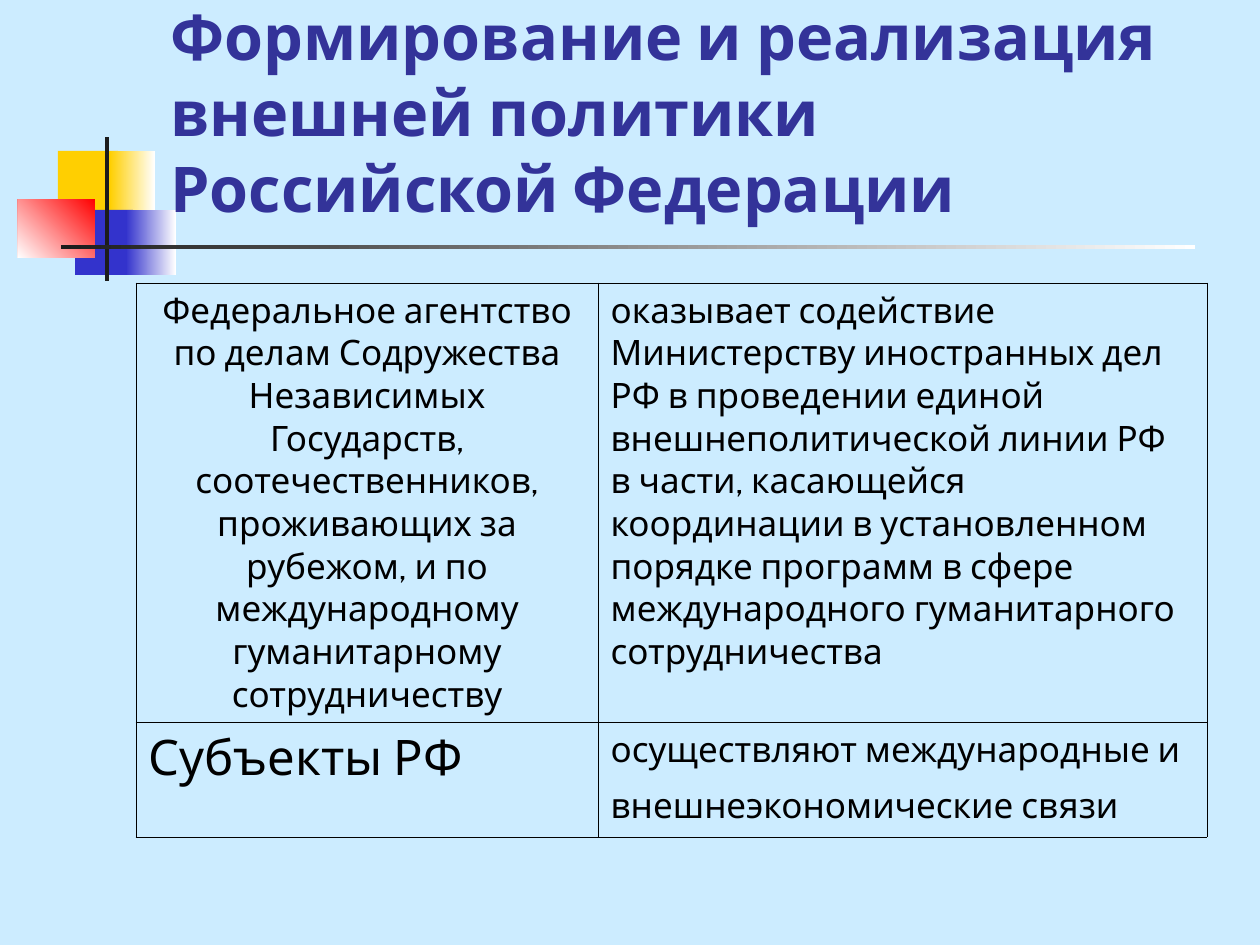
from lxml import etree
from pptx import Presentation
from pptx import util as u
from pptx.dml import color
from pptx.enum import shapes, text
from pptx.oxml import ns

SCALE = 914400 / 126
FONT = "Cabin"
COLORS = {
    "background": "CCECFF",
    "title": "333399",
    "text": "000000",
    "yellow": "FFCF01",
    "blue": "3333CC",
    "red": "FF0000",
    "white": "FFFFFF",
    "dark": "1C1C1C",
}
BORDER = 0.45


def px(length):
    return u.Emu(round(length * SCALE))


def rgb(name):
    return color.RGBColor.from_string(COLORS[name])


class SlideBuilder:
    def __init__(self, slide):
        self.slide = slide
        fill = slide.background.fill
        fill.solid()
        fill.fore_color.rgb = rgb("background")

    def style(self, paragraph, size, name="text", bold=False, center=False):
        paragraph.alignment = text.PP_ALIGN.CENTER if center else text.PP_ALIGN.LEFT
        font = paragraph.font
        font.name, font.size, font.bold = FONT, u.Pt(size), bold
        font.color.rgb = rgb(name)

    def rectangle(self, box, start, end=None, angle=180):
        shape = self.slide.shapes.add_shape(
            shapes.MSO_SHAPE.RECTANGLE, *map(px, box))
        shape.shadow.inherit = False
        shape.line.fill.background()
        if end is None:
            shape.fill.solid()
            shape.fill.fore_color.rgb = rgb(start)
            return
        shape.fill.gradient()
        shape.fill.gradient_angle = angle
        for stop, name in zip(shape.fill.gradient_stops, (start, end)):
            stop.color.rgb = rgb(name)

    def title(self, box, content):
        frame = self.slide.shapes.add_textbox(*map(px, box)).text_frame
        frame.word_wrap = True
        frame.vertical_anchor = text.MSO_ANCHOR.BOTTOM
        paragraph = frame.paragraphs[0]
        paragraph.text = content
        self.style(paragraph, 36, "title", bold=True)

    def border(self, cell, side):
        line = etree.SubElement(
            cell._tc.get_or_add_tcPr(), ns.qn(f"a:{side}"), w=str(u.Pt(BORDER)))
        fill = etree.SubElement(line, ns.qn("a:solidFill"))
        etree.SubElement(fill, ns.qn("a:srgbClr"), val=COLORS["text"])

    def table(self, box, widths, heights, rows):
        table = self.slide.shapes.add_table(
            len(rows), len(widths), *map(px, box)).table
        table.first_row = table.horz_banding = False
        for column, width in zip(table.columns, widths):
            column.width = px(width)
        for row, height in zip(table.rows, heights):
            row.height = px(height)
        for i, row in enumerate(rows):
            for j, (runs, center) in enumerate(row):
                cell = table.cell(i, j)
                for side in ("lnL", "lnR", "lnT", "lnB"):
                    self.border(cell, side)
                cell.fill.background()
                cell.margin_left = u.Inches(0.1)
                cell.margin_right = u.Inches(0.1 if center else 0.12)
                cell.margin_top = cell.margin_bottom = u.Inches(0.05)
                paragraph = cell.text_frame.paragraphs[0]
                self.style(paragraph, runs[0][1], center=center)
                for content, size in runs:
                    run = paragraph.add_run()
                    run.text = content
                    run.font.size = u.Pt(size)
                    run.font.name = FONT
                    run.font.color.rgb = rgb("text")


def main():
    presentation = Presentation()
    presentation.slide_width, presentation.slide_height = px(1260), px(945)
    builder = SlideBuilder(
        presentation.slides.add_slide(presentation.slide_layouts[6]))

    builder.rectangle((58, 151, 60, 66), "yellow")
    builder.rectangle((110, 151, 45, 66), "white", "yellow")
    builder.rectangle((75, 210, 58, 65), "blue")
    builder.rectangle((126, 210, 50, 65), "white", "blue")
    builder.rectangle((18, 199, 77, 59), "red", "white", angle=225)
    builder.rectangle((105, 137, 4, 144), "dark")
    builder.rectangle((61, 245, 1134, 4), "white", "dark")

    builder.title(
        (158, 29, 1074, 202),
        "Формирование и реализация внешней политики\vРоссийской Федерации")

    agency = (
        "Федеральное агентство по делам Содружества Независимых Государств, "
        "соотечественников, проживающих за рубежом, и по международному "
        "гуманитарному сотрудничеству")
    agency_role = (
        "оказывает содействие Министерству иностранных дел РФ в проведении "
        "единой внешнеполитической линии РФ в части, касающейся координации "
        "в установленном порядке программ в сфере международного "
        "гуманитарного сотрудничества")
    regions_role = "осуществляют международные и внешнеэкономические связи"
    builder.table((136, 283, 1071, 554), (462, 609), (439, 115), [
        [([(agency, 20)], True), ([(agency_role, 20)], False)],
        [([("Субъекты РФ", 28)], False),
         ([(regions_role, 20), (" ", 28)], False)],
    ])
    presentation.save("out.pptx")


if __name__ == "__main__":
    main()
